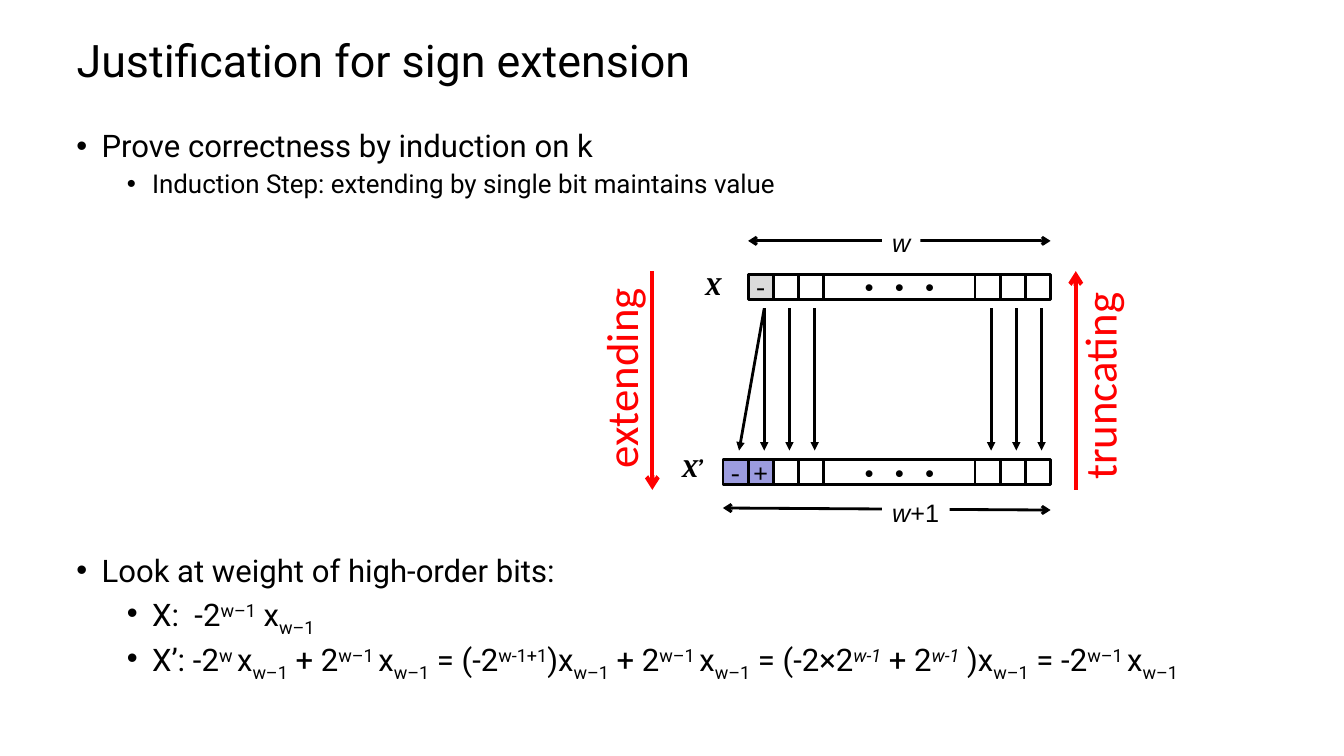
from pptx import Presentation
from pptx.dml.color import RGBColor
from pptx.enum.shapes import MSO_CONNECTOR as CONN, MSO_SHAPE as SHAPE
from pptx.enum.text import MSO_ANCHOR as ANCHOR, PP_ALIGN as ALIGN
from pptx.oxml.ns import qn
from pptx.util import Inches, Pt
from lxml.etree import SubElement

# Content
TITLE = "Justification for sign extension"
SUP, SUB = 30000, -25000
HIGH_BIT = [("x", 0), ("w–1", SUB)]
CLAIM = [  # (level, size key, runs of (text, baseline, italic))
    (0, "body", [("Prove correctness by induction on k",)]),
    (1, "detail", [("Induction Step: extending by single bit maintains value",)]),
]
WEIGHTS = [
    (0, "body", [("Look at weight of high-order bits:",)]),
    (1, "body", [("X:  -2",), ("w–1", SUP), (" ",), *HIGH_BIT]),
    (1, "body", [("X’: -2",), ("w ", SUP), *HIGH_BIT,
                 (" + 2",), ("w–1 ", SUP), *HIGH_BIT,
                 (" = (-2",), ("w-1+1", SUP), (")",), *HIGH_BIT,
                 (" + 2",), ("w–1 ", SUP), *HIGH_BIT,
                 (" = (-2×2",), ("w-1", SUP, True), (" + 2",), ("w-1", SUP, True),
                 (" )",), *HIGH_BIT, (" = -2",), ("w–1 ", SUP), *HIGH_BIT]),
]
DOTS = "•\u00a0•\u00a0•"
WORDS = [  # top, label, label position, high-order bits as (text, fill key)
    (2.72, "X", (6.9, 2.63, 0.43), [("-", "grey")]),
    (4.56, "X’", (6.67, 4.44, 0.45), [("-", "violet"), ("+", "violet")]),
]
WIDTHS = [  # line from, line to, label left, top, width, runs
    ((7.17, 5.04), (10.42, 5.06), (8.75, 4.88, 0.67), [("w", 0, True), ("+1",)]),
    ((7.42, 2.39), (10.42, 2.39), (8.75, 2.21, 0.38), [("w", 0, True)]),
]
DIRECTIONS = [  # word, arrow x, start y, end y, label left, top, width
    ("extending", 6.47, 2.69, 4.86, (5.15, 3.42, 2.01)),
    ("truncating", 10.67, 4.86, 2.69, (9.86, 3.5, 2.08)),
]

THEME = {
    "color": {"black": "000000", "white": "FFFFFF", "grey": "DBDBDB",
              "violet": "9C9CDF", "red": "FF0000"},
    "size": {"title": 32, "body": 22.2, "detail": 18.5, "figure": 18, "direction": 32},
    "font": {"text": "Roboto", "bit": "Courier New", "name": "Cambria",
             "width": "Arial", "direction": "Calibri"},
}
BIT, DOTS_W, RIGHT = 0.25, 1.5, 10.42
ARROW_DX, ARROW_TOP, ARROW_END = 0.16, 3.06, 4.47


def rgb(key):
    return RGBColor.from_string(THEME["color"][key])


def add_run(p, text, size, font, color="black", base=0, **fmt):
    r = p.add_run()
    r.text = text
    values = {"size": Pt(THEME["size"][size]), "name": THEME["font"][font], **fmt}
    for key, value in values.items():
        setattr(r.font, key, value)
    r.font.color.rgb = rgb(color)
    if base:
        r._r.get_or_add_rPr().set("baseline", str(base))


def add_box(slide, left, top, width, height, wrap=True):
    sp = slide.shapes.add_textbox(*map(Inches, (left, top, width, height)))
    sp.text_frame.word_wrap = wrap
    return sp


def add_bullets(slide, top, height, lines):
    tf = add_box(slide, 0.66, top, 12.49, height).text_frame
    for i, (level, size, runs) in enumerate(lines):
        p = tf.paragraphs[0] if i == 0 else tf.add_paragraph()
        p.level = level
        pPr = p._p.get_or_add_pPr()
        pPr.set("marL", str(Inches(0.25 + 0.5 * level)))
        pPr.set("indent", str(Inches(-0.25)))
        SubElement(pPr, qn("a:buFont"), typeface="Arial")
        SubElement(pPr, qn("a:buChar"), char="•")
        p.line_spacing = 0.9
        p.space_before = Pt(5 if i else 0)
        for text, *style in runs:
            base, italic = (*style, 0, False)[:2] if len(style) != 1 else (style[0], False)
            add_run(p, text, size, "text", base=base, italic=italic)


def add_line(slide, start, end, color="black", width=2, **heads):
    line = slide.shapes.add_connector(CONN.STRAIGHT, *map(Inches, (*start, *end)))
    line.line.color.rgb = rgb(color)
    line.line.width = Pt(width)
    ln = line.line._get_or_add_ln()
    for tag, kind in heads.items():
        SubElement(ln, qn(f"a:{tag}"), type=kind)
    SubElement(line._element.spPr, qn("a:effectLst"))


def add_cell(slide, left, top, width, text="", fill="white"):
    sp = slide.shapes.add_shape(SHAPE.RECTANGLE, *map(Inches, (left, top, width, BIT)))
    sp.shadow.inherit = False
    sp.fill.solid()
    sp.fill.fore_color.rgb = rgb(fill)
    sp.line.color.rgb = rgb("black")
    sp.line.width = Pt(2)
    if text:
        tf = sp.text_frame
        tf.word_wrap = False
        tf.vertical_anchor = ANCHOR.MIDDLE
        tf.paragraphs[0].alignment = ALIGN.CENTER
        add_run(tf.paragraphs[0], text, "figure", "bit")


def main():
    prs = Presentation()
    prs.slide_width, prs.slide_height = Inches(13.33), Inches(7.5)
    slide = prs.slides.add_slide(prs.slide_layouts[5])

    # Title and bullets
    title = slide.shapes.title
    title.left, title.top, title.width, title.height = map(Inches, (0.66, 0.25, 12, 0.75))
    title.text_frame.vertical_anchor = ANCHOR.MIDDLE
    p = title.text_frame.paragraphs[0]
    p.alignment, p.line_spacing = ALIGN.LEFT, 0.9
    add_run(p, TITLE, "title", "text")
    add_bullets(slide, 1.25, 0.85, CLAIM)
    add_bullets(slide, 5.46, 1.4, WEIGHTS)

    # Words of bits, laid out back from the right edge
    low_bits = [RIGHT - BIT * n for n in (3, 2, 1)]
    dots_left = low_bits[0] - DOTS_W
    high_bits = [dots_left - BIT * n for n in (2, 1)]
    sign_left = high_bits[0] - BIT
    for top, name, (left, name_top, width), signs in WORDS:
        for i, (text, fill) in enumerate(signs):
            add_cell(slide, high_bits[0] - BIT * (len(signs) - i), top, BIT, text, fill)
        for x in high_bits + low_bits:
            add_cell(slide, x, top, BIT)
        add_cell(slide, dots_left, top, DOTS_W, DOTS)
        label = add_box(slide, left, name_top, width, 0.4, wrap=False)
        add_run(label.text_frame.paragraphs[0], name, "figure", "name", bold=True, italic=True)

    # Bits carried over; the sign bit goes to two places
    carried = [(x, x) for x in [sign_left] + high_bits + low_bits]
    for x1, x2 in carried + [(sign_left, sign_left - BIT)]:
        add_line(slide, (x1 + ARROW_DX, ARROW_TOP), (x2 + ARROW_DX, ARROW_END),
                 tailEnd="triangle")

    # Word widths
    for start, end, (left, top, width), runs in WIDTHS:
        add_line(slide, start, end, headEnd="arrow", tailEnd="arrow")
        label = add_box(slide, left, top, width, 0.4)
        label.fill.solid()
        label.fill.fore_color.rgb = rgb("white")
        for text, *style in runs:
            add_run(label.text_frame.paragraphs[0], text, "figure", "width",
                    italic=bool(style))

    # Extending and truncating
    for word, x, y1, y2, (left, top, width) in DIRECTIONS:
        add_line(slide, (x, y1), (x, y2), "red", 3, tailEnd="arrow")
        label = add_box(slide, left, top, width, 0.64)
        label.rotation = 270
        add_run(label.text_frame.paragraphs[0], word, "direction", "direction", "red")

    prs.save("out.pptx")


if __name__ == "__main__":
    main()
